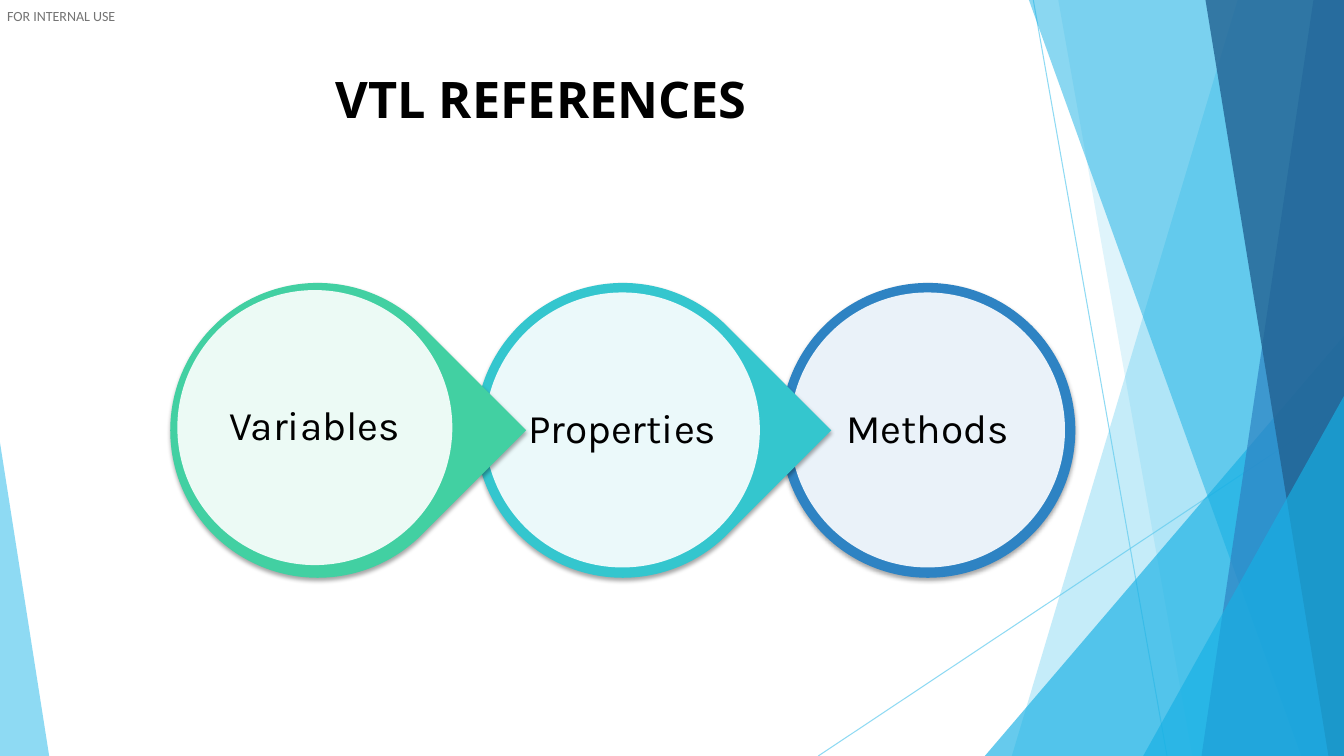
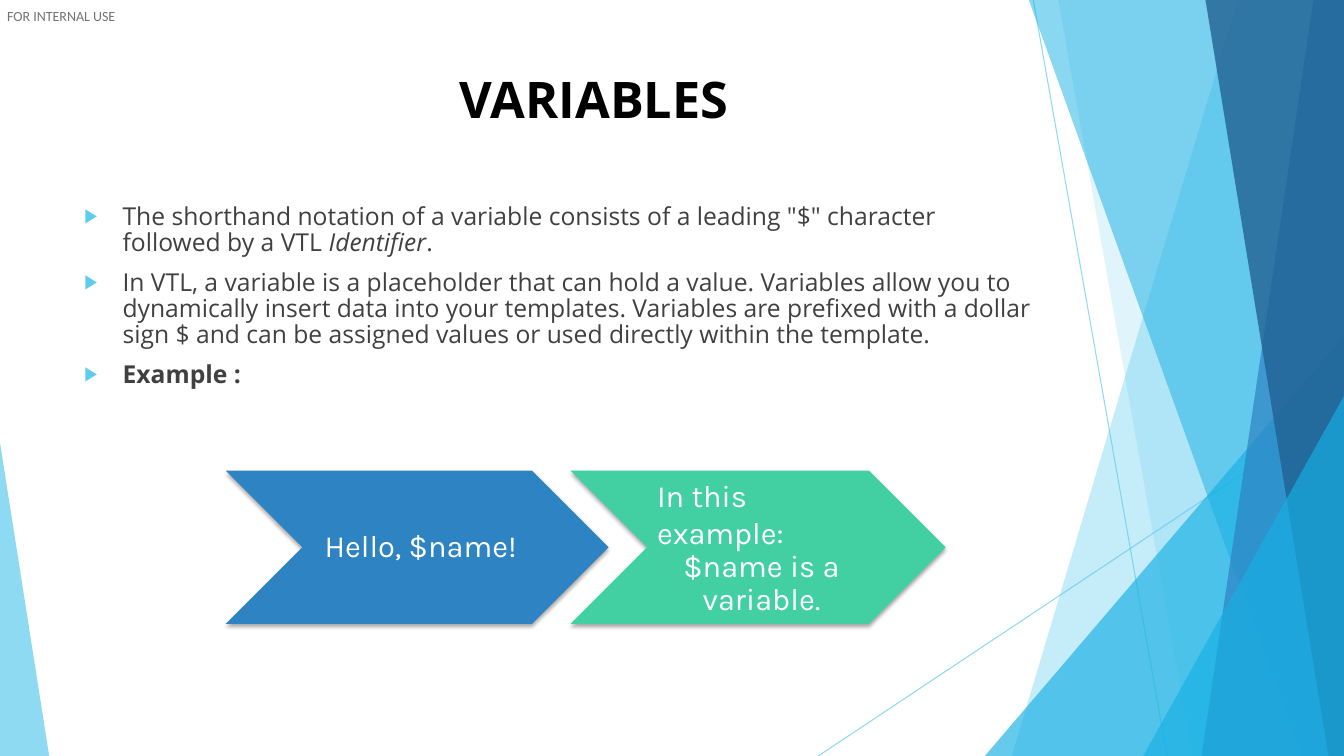
import pptx
import pptx.util
import pptx.dml.color
import pptx.enum.shapes
import pptx.enum.text
from lxml import etree
from pptx.oxml.ns import qn

Cm, Pt = pptx.util.Cm, pptx.util.Pt
KIND = pptx.enum.shapes.MSO_SHAPE
ALIGN = pptx.enum.text.PP_ALIGN
ANCHOR = pptx.enum.text.MSO_ANCHOR
WIDE, HIGH = 33.87, 19.05


class Theme:
    sky, cyan, blue, navy = "5FCBEF", "17B0E4", "2E83C3", "226292"
    green, teal, white, black = "42D0A2", "34C6CE", "FFFFFF", "000000"
    # Text styles: font, size, colour, bold
    title = ("Open Sans", 36, black, True)
    body = ("Open Sans", 17.6, "404040", False)
    strong = ("Open Sans", 17.6, "404040", True)
    label = ("Calibri", 10, "747474", False)
    circle = ("Karla", 29, black, False)
    arrow = ("Karla", 22, white, False)


def paint(part, fill, color, alpha=100, drop=False):
    """Fill a shape or line, with opacity and an optional drop shadow."""
    fill.solid()
    fill.fore_color.rgb = pptx.dml.color.RGBColor.from_string(color)
    props = part._element.spPr
    if alpha < 100:
        tint = next(props.iter(qn("a:srgbClr")))
        etree.SubElement(tint, qn("a:alpha"), val=str(alpha * 1000))
    if fill is not part.line.fill and part.shape_type != pptx.enum.shapes.MSO_SHAPE_TYPE.LINE:
        part.line.fill.background()
    effects = etree.SubElement(props, qn("a:effectLst"))
    if drop:
        cast = etree.SubElement(effects, qn("a:outerShdw"), blurRad=str(Pt(3)),
                                dist=str(Pt(2)), dir="5400000", rotWithShape="0")
        shade = etree.SubElement(cast, qn("a:srgbClr"), val=Theme.black)
        etree.SubElement(shade, qn("a:alpha"), val="35000")


def write(frame, lines, style, align=ALIGN.LEFT, space=1.0):
    """Write one paragraph per line; a line is a list of (text, italic) or a string."""
    name, size, color, bold = style
    for pos, line in enumerate(lines):
        para = frame.add_paragraph() if pos else frame.paragraphs[0]
        para.alignment, para.line_spacing = align, space
        font = para.font
        font.name, font.size, font.bold = name, Pt(size), bold
        font.color.rgb = pptx.dml.color.RGBColor.from_string(color)
        for text, italic in [(line, False)] if isinstance(line, str) else line:
            run = para.add_run()
            run.text = text
            if italic:
                run.font.italic = True


deck = pptx.Presentation()
deck.slide_width, deck.slide_height = Cm(WIDE), Cm(HIGH)

# Shared backdrop: rays run to the right edge, peaks stand on the bottom edge
threads = [(26.04, 0, 29.41, HIGH), (WIDE, 10.24, 20.62, HIGH)]
facets = [
    ("ray", (31.19, 25.5), Theme.sky, 36),
    ("ray", (26.67, 30.05), Theme.sky, 20),
    ("peak", (24.82, 8.46, 9.05, 1), Theme.cyan, 66),
    ("ray", (25.93, 32.79), Theme.cyan, 50),
    ("ray", (33.1, 30.28), Theme.blue, 70),
    ("ray", (30.38, 33.48), Theme.navy, 80),
    ("peak", (28.81, 9.98, 5.06, 1), Theme.cyan, 66),
    ("peak", (0, 11.15, 1.24, 0), Theme.sky, 70),
]
slides = []
for title, width in [("VTL REFERENCES", 23.52), ("VARIABLES", 26.19)]:
    slide = deck.slides.add_slide(deck.slide_layouts[6])
    slides.append(slide)
    shapes = slide.shapes
    for ends in threads:
        thread = shapes.add_connector(pptx.enum.shapes.MSO_CONNECTOR.STRAIGHT, *map(Cm, ends))
        thread.line.width = Pt(0.75)
        paint(thread, thread.line.fill, Theme.sky, 70)
    for kind, place, color, alpha in facets:
        if kind == "ray":
            top, base = place
            pen = shapes.build_freeform(Cm(top), 0)
            pen.add_line_segments([(Cm(WIDE), 0), (Cm(WIDE), Cm(HIGH)), (Cm(base), Cm(HIGH))])
            facet = pen.convert_to_shape()
        else:
            left, top, span, tip = place
            facet = shapes.add_shape(KIND.ISOSCELES_TRIANGLE, Cm(left), Cm(top),
                                     Cm(span), Cm(HIGH - top))
            facet.adjustments[0] = tip
        paint(facet, facet.fill, color, alpha)

    # Label and title
    frame = shapes.add_textbox(Cm(0.18), Cm(0.18), Cm(3.1), Cm(0.43)).text_frame
    frame.margin_left = frame.margin_right = frame.margin_top = frame.margin_bottom = 0
    write(frame, ["FOR INTERNAL USE"], Theme.label)
    frame = shapes.add_textbox(Cm(1.88), Cm(1.6), Cm(width), Cm(1.98)).text_frame
    frame.word_wrap = True
    write(frame, [title], Theme.title, ALIGN.CENTER)

# Slide 1: overlapping circles, the last one at the back
shapes = slides[0].shapes
chain = [
    ("Methods", KIND.OVAL, Theme.blue, 0.24),
    ("Properties", KIND.TEAR, Theme.teal, 0.24),
    ("Variables", KIND.TEAR, Theme.green, 0.18),
]
for pos, (text, kind, color, inset) in enumerate(chain):
    left, top = 19.67 - 7.69 * pos, 7.13
    ring = shapes.add_shape(kind, Cm(left), Cm(top), Cm(7.43), Cm(7.43))
    if kind == KIND.TEAR:
        ring.rotation = 45
    paint(ring, ring.fill, color, drop=True)
    disc = shapes.add_shape(KIND.OVAL, Cm(left + inset), Cm(top + inset), Cm(6.93), Cm(6.93))
    paint(disc, disc.fill, Theme.white, 90)
    frame = disc.text_frame
    frame.word_wrap, frame.vertical_anchor = False, ANCHOR.MIDDLE
    frame.margin_left = frame.margin_right = frame.margin_top = frame.margin_bottom = Cm(0.1)
    write(frame, [text], Theme.circle, ALIGN.CENTER, 0.9)

# Slide 2: bullets
shapes = slides[1].shapes
frame = shapes.add_textbox(Cm(1.88), Cm(5.03), Cm(24.49), Cm(5.69)).text_frame
frame.word_wrap = True
points = [
    [('The shorthand notation of a variable consists of a leading "$" character '
      "followed by a VTL ", False), ("Identifier", True), (".", False)],
    "In VTL, a variable is a placeholder that can hold a value. Variables allow you to "
    "dynamically insert data into your templates. Variables are prefixed with a dollar "
    "sign $ and can be assigned values or used directly within the template.",
    "Example :",
]
write(frame, points, Theme.body, space=0.88)
frame.paragraphs[-1].font.bold = Theme.strong[3]
for para in frame.paragraphs:
    para.space_before = Pt(10)
    props = para._p.get_or_add_pPr()
    props.set("marL", str(Cm(0.96)))
    props.set("indent", str(-Cm(0.96)))
    marks = [etree.Element(qn("a:buClr")), etree.Element(qn("a:buSzPct"), val="80000"),
             etree.Element(qn("a:buFont"), typeface="Arial"),
             etree.Element(qn("a:buChar"), char="▶")]
    etree.SubElement(marks[0], qn("a:srgbClr"), val=Theme.sky)
    for mark in marks:
        props.find(qn("a:defRPr")).addprevious(mark)

# Slide 2: example arrows
steps = [
    (5.69, 9.65, Theme.blue, ["Hello, $name!"]),
    (14.38, 9.45, Theme.green, ["In this example:", "$name is a variable."]),
]
for left, width, color, lines in steps:
    arrow = shapes.add_shape(KIND.CHEVRON, Cm(left), Cm(11.86), Cm(width), Cm(3.86))
    paint(arrow, arrow.fill, color, drop=True)
    frame = arrow.text_frame
    frame.word_wrap, frame.vertical_anchor = True, ANCHOR.MIDDLE
    frame.margin_left = Cm(0.25)
    frame.margin_right = frame.margin_top = frame.margin_bottom = Cm(0.08)
    write(frame, lines, Theme.arrow, ALIGN.CENTER, 0.9)
    if len(lines) > 1:
        intro = frame.paragraphs[0]
        intro.alignment, intro.line_spacing = ALIGN.LEFT, 1.0

deck.save("out.pptx")
